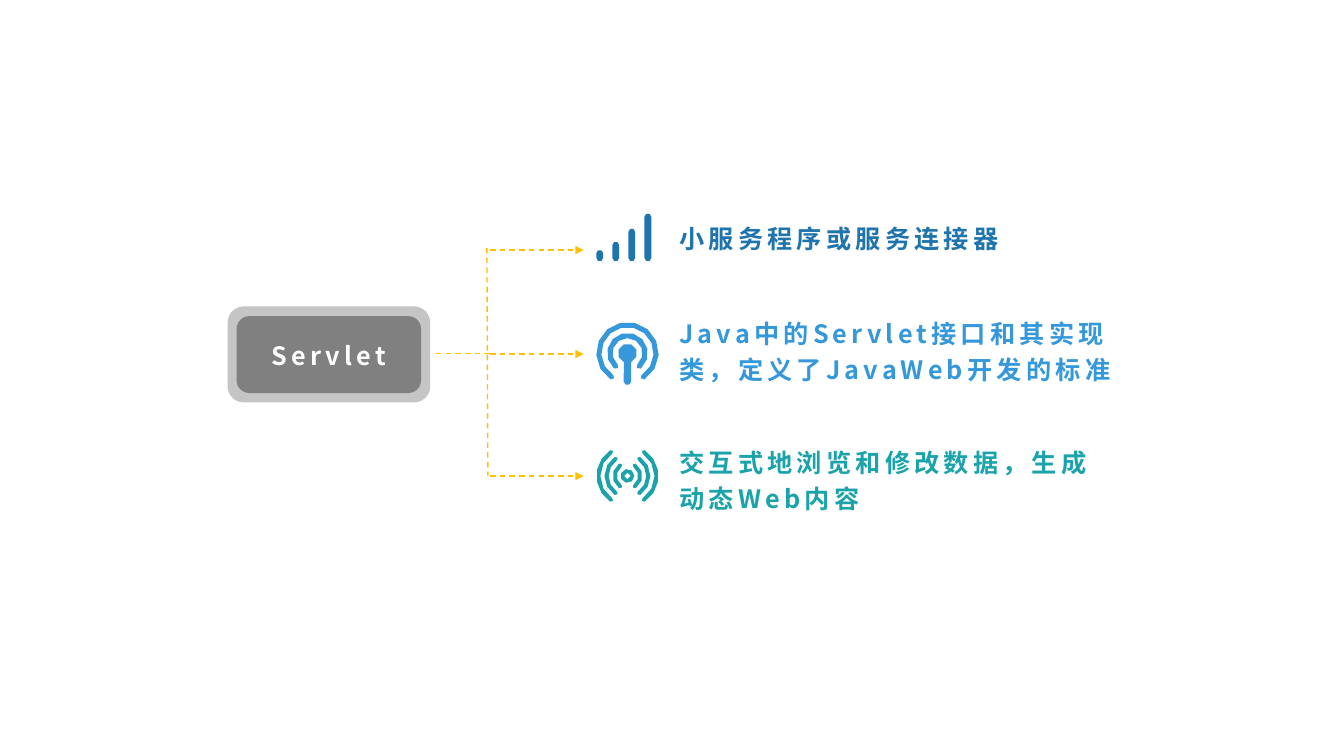
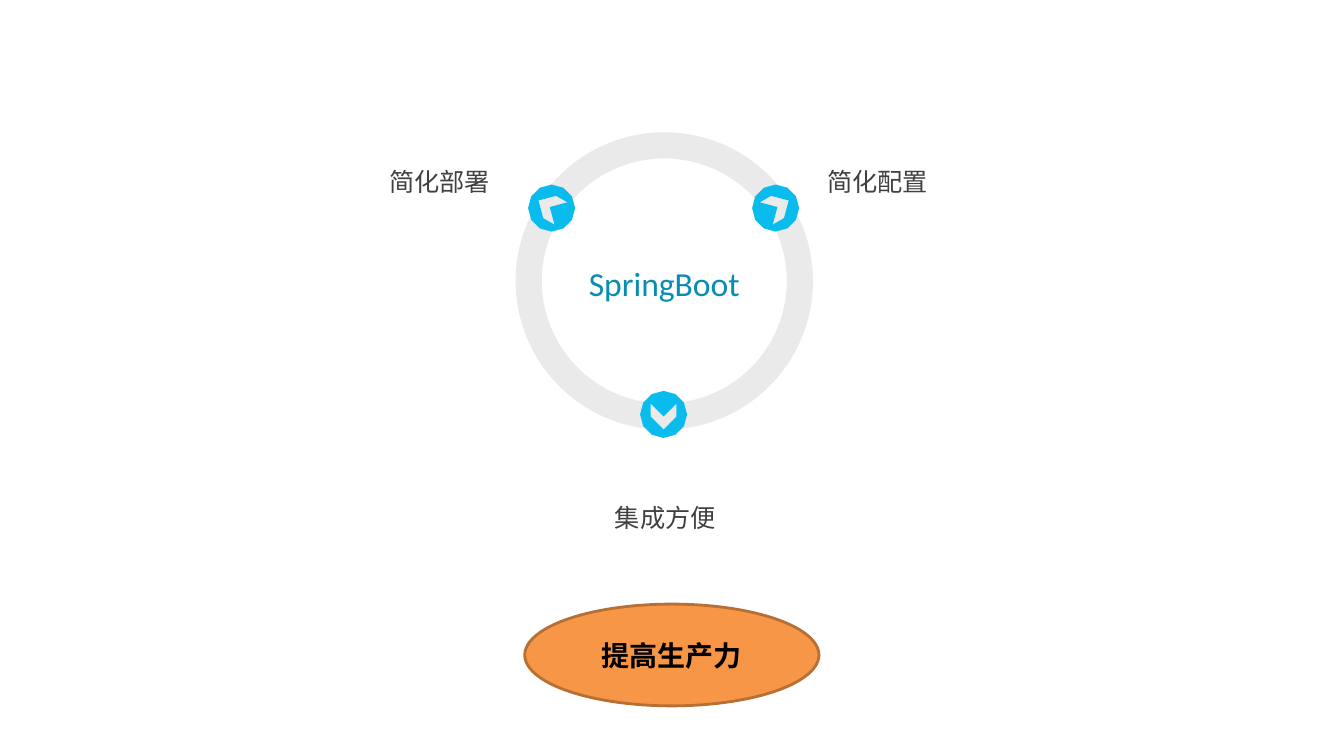
from dataclasses import dataclass
from math import acos, ceil, cos, pi, sin, sqrt
from typing import Any

from lxml import etree
from pptx import Presentation
from pptx.dml.color import RGBColor
from pptx.enum.dml import MSO_LINE
from pptx.enum.shapes import MSO_CONNECTOR, MSO_SHAPE
from pptx.enum.text import MSO_ANCHOR, PP_ALIGN
from pptx.oxml.ns import qn
from pptx.slide import Slide
from pptx.util import Pt

STRAIGHT = MSO_CONNECTOR.STRAIGHT
DASH = MSO_LINE.DASH
ROUNDED, DONUT, OVAL = MSO_SHAPE.ROUNDED_RECTANGLE, MSO_SHAPE.DONUT, MSO_SHAPE.OVAL
TOP, MIDDLE, BOTTOM = MSO_ANCHOR.TOP, MSO_ANCHOR.MIDDLE, MSO_ANCHOR.BOTTOM
LEFT, CENTER, RIGHT = PP_ALIGN.LEFT, PP_ALIGN.CENTER, PP_ALIGN.RIGHT

COLORS = {
    "navy": "1F74AD",
    "blue": "3498DB",
    "teal": "1AA3AA",
    "amber": "FFC000",
    "dark": "404040",
    "gray": "808080",
    "white": "FFFFFF",
    "black": "000000",
    "ring": "EAEAEA",
    "badge": "09BCED",
    "hub": "078DB2",
    "orange": "F79646",
    "rust": "B76F34",
}
CJK_FONT = "Noto Sans CJK SC"
SPACED = {"name": CJK_FONT, "size": Pt(18), "bold": True}
LABEL = {"name": "Calibri", "size": Pt(18), "bold": False}
CURVE_TOLERANCE = 0.6

Point = tuple[float, float]
Contour = list[Point]


@dataclass(frozen=True)
class Frame:
    left: float
    top: float
    width: float
    height: float

    def lengths(self) -> list[int]:
        return [Pt(value) for value in (self.left, self.top, self.width, self.height)]


@dataclass(frozen=True)
class TextStyle:
    font: dict[str, Any]
    color: str
    align: PP_ALIGN = CENTER
    anchor: MSO_ANCHOR = MIDDLE
    line_spacing: float = 1.0
    tracking: float = 0
    bottom_inset: float = 3.6


@dataclass(frozen=True)
class Feature:
    text: str
    frame: Frame
    color: str
    arrow_y: float
    icon: list[Contour]


@dataclass(frozen=True)
class Benefit:
    text: str
    frame: Frame
    align: PP_ALIGN
    orbit_angle: float
    direction: float


def rgb(name: str) -> RGBColor:
    return RGBColor.from_string(COLORS[name])


def write_text(box: Any, text: str, style: TextStyle) -> None:
    frame = box.text_frame
    settings = {
        "word_wrap": True,
        "vertical_anchor": style.anchor,
        "margin_left": Pt(7.2),
        "margin_right": Pt(7.2),
        "margin_top": Pt(3.6),
        "margin_bottom": Pt(style.bottom_inset),
    }
    for name, value in settings.items():
        setattr(frame, name, value)
    para = frame.paragraphs[0]
    para.alignment = style.align
    para.line_spacing = style.line_spacing
    span = para.add_run()
    span.text = text
    for name, value in style.font.items():
        setattr(span.font, name, value)
    span.font.color.rgb = rgb(style.color)
    properties = span.font._element
    if style.tracking:
        properties.set("spc", str(int(style.tracking * 100)))
    east_asian = etree.Element(qn("a:ea"), typeface=CJK_FONT)
    properties.find(qn("a:latin")).addnext(east_asian)


def add_text(page: Slide, frame: Frame, text: str, style: TextStyle) -> None:
    write_text(page.shapes.add_textbox(*frame.lengths()), text, style)


def paint(shape: Any, color: str) -> None:
    shape.shadow.inherit = False
    shape.fill.solid()
    shape.fill.fore_color.rgb = rgb(color)
    shape.line.fill.background()


def add_preset(page: Slide, preset: MSO_SHAPE, frame: Frame, color: str) -> Any:
    shape = page.shapes.add_shape(preset, *frame.lengths())
    paint(shape, color)
    return shape


def add_dashed_line(page: Slide, start: Point, end: Point, arrow: bool = False) -> None:
    line = page.shapes.add_connector(STRAIGHT, *[Pt(value) for value in start + end])
    line.line.color.rgb = rgb("amber")
    line.line.width = Pt(1)
    line.line.dash_style = DASH
    properties = line._element.spPr
    if arrow:
        etree.SubElement(properties.find(qn("a:ln")), qn("a:tailEnd"), type="triangle")
    etree.SubElement(properties, qn("a:effectLst"))


def add_outline(page: Slide, contours: list[Contour], color: str) -> None:
    scaled = [[(Pt(x), Pt(y)) for x, y in contour] for contour in contours]
    builder = page.shapes.build_freeform(*scaled[0][0])
    for index, contour in enumerate(scaled):
        if index:
            builder.move_to(*contour[0])
        builder.add_line_segments(contour[1:], close=True)
    paint(builder.convert_to_shape(), color)


def polar(center: Point, radius: float, degrees: float) -> Point:
    angle = degrees * pi / 180
    return center[0] + radius * cos(angle), center[1] + radius * sin(angle)


def arc(center: Point, radius: float, start: float, end: float) -> Contour:
    span = abs(end - start) * pi / 180
    steps = max(3, ceil(span / (2 * acos(1 - CURVE_TOLERANCE / radius))))
    reach = radius / sqrt(cos(span / steps / 2))
    return [polar(center, reach, start + (end - start) * i / steps) for i in range(steps + 1)]


def circle(center: Point, radius: float) -> Contour:
    return arc(center, radius, 0, 360)[:-1]


def band(center: Point, radius: float, width: float, start: float, end: float) -> Contour:
    half = width / 2
    return (
        arc(center, radius + half, start, end)
        + [polar(polar(center, radius, end), half, end + 90)]
        + arc(center, radius - half, end, start)
        + [polar(polar(center, radius, start), half, start - 90)]
    )


def signal_bars() -> list[Contour]:
    radius, bottom = 2.25, 186.5
    bars = []
    for index, top in enumerate((178.6, 172.8, 163.4, 152.6)):
        x = 428.4 + 11.47 * index
        bars.append(
            arc((x, top + radius), radius, 180, 360)
            + arc((x, bottom - radius), radius, 0, 180)
        )
    return bars


def antenna(center: Point) -> list[Contour]:
    x, y = center
    mast = arc(center, 6.6, 112, 428) + arc((x, y + 20.2), 2.5, 0, 180)
    return [mast, band(center, 12.4, 3.8, 131, 409), band(center, 20.2, 3.6, 123, 417)]


def radio_waves(center: Point) -> list[Contour]:
    contours = [circle(center, 4.7), circle(center, 2)]
    for radius in (8.9, 14.7, 20.5):
        for middle in (0, 180):
            contours.append(band(center, radius, 2.9, middle - 56, middle + 56))
    return contours


def chevron_badge(center: Point, direction: float) -> list[Contour]:
    turn = (direction - 90) * pi / 180
    chevron = [(0, 10.8), (9.2, 1.6), (9.2, -7.7), (0, 1.5), (-9.2, -7.7), (-9.2, 1.6)]
    turned = [
        (center[0] + x * cos(turn) - y * sin(turn), center[1] + x * sin(turn) + y * cos(turn))
        for x, y in chevron
    ]
    return [circle(center, 16.5), turned]


FEATURES = [
    Feature("小服务程序或服务连接器", Frame(478.2, 142.1, 256.3, 38.9), "navy", 178.6, signal_bars()),
    Feature(
        "Java中的Servlet接口和其实现类，定义了JavaWeb开发的标准",
        Frame(478.2, 212.4, 331.2, 62.6), "blue", 252.9, antenna((448.2, 252.3)),
    ),
    Feature(
        "交互式地浏览和修改数据，生成动态Web内容",
        Frame(478.2, 310.6, 321.1, 56.2), "teal", 340.1, radio_waves((448.2, 340)),
    ),
]
BENEFITS = [
    Benefit("简化配置", Frame(583.9, 84.5, 185.8, 83.5), LEFT, 327, 330),
    Benefit("简化部署", Frame(171.2, 84.5, 185.8, 83.5), RIGHT, 213, 210),
    Benefit("集成方便", Frame(382.3, 324.7, 185.8, 83.5), CENTER, 90, 90),
]


def build_servlet(page: Slide) -> None:
    add_dashed_line(page, (350, 252.7), (311.8, 252.7))
    add_dashed_line(page, (347.8, 177.1), (348.5, 339.8))
    for feature in FEATURES:
        add_dashed_line(page, (350, feature.arrow_y), (416.9, feature.arrow_y), arrow=True)
        add_outline(page, feature.icon, feature.color)
        style = TextStyle(SPACED, feature.color, LEFT, BOTTOM, 1.2, 3, 0)
        add_text(page, feature.frame, feature.text, style)
    rim = add_preset(page, ROUNDED, Frame(162.6, 218.9, 144.7, 68.6), "dark")
    color = rim._element.spPr.find(qn("a:solidFill"))[0]
    etree.SubElement(color, qn("a:alpha"), val="30000")
    add_preset(page, ROUNDED, Frame(169, 225.8, 131.8, 54.9), "gray")
    style = TextStyle(SPACED, "white", CENTER, TOP, 1.2, 3)
    add_text(page, Frame(162.6, 235.1, 144.7, 36.7), "Servlet", style)


def build_spring_boot(page: Slide) -> None:
    ring = add_preset(page, DONUT, Frame(368.3, 94.5, 212.4, 212.4), "ring")
    ring.adjustments[0] = 0.088
    write_text(ring, "SpringBoot", TextStyle(LABEL | {"size": Pt(24)}, "hub", line_spacing=1.1))
    for benefit in BENEFITS:
        center = polar((474, 200.6), 95.4, benefit.orbit_angle)
        add_outline(page, chevron_badge(center, benefit.direction), "badge")
        style = TextStyle(LABEL, "dark", benefit.align, line_spacing=1.3)
        add_text(page, benefit.frame, benefit.text, style)
    result = add_preset(page, OVAL, Frame(374.8, 431.5, 210.2, 72.7), "orange")
    result.line.color.rgb = rgb("rust")
    result.line.width = Pt(2)
    write_text(result, "提高生产力", TextStyle(LABEL | {"size": Pt(20), "bold": True}, "black"))


def main() -> None:
    deck = Presentation()
    deck.slide_width, deck.slide_height = Pt(960), Pt(540)
    blank = deck.slide_layouts[6]
    for build in (build_servlet, build_spring_boot):
        build(deck.slides.add_slide(blank))
    deck.save("out.pptx")


if __name__ == "__main__":
    main()
